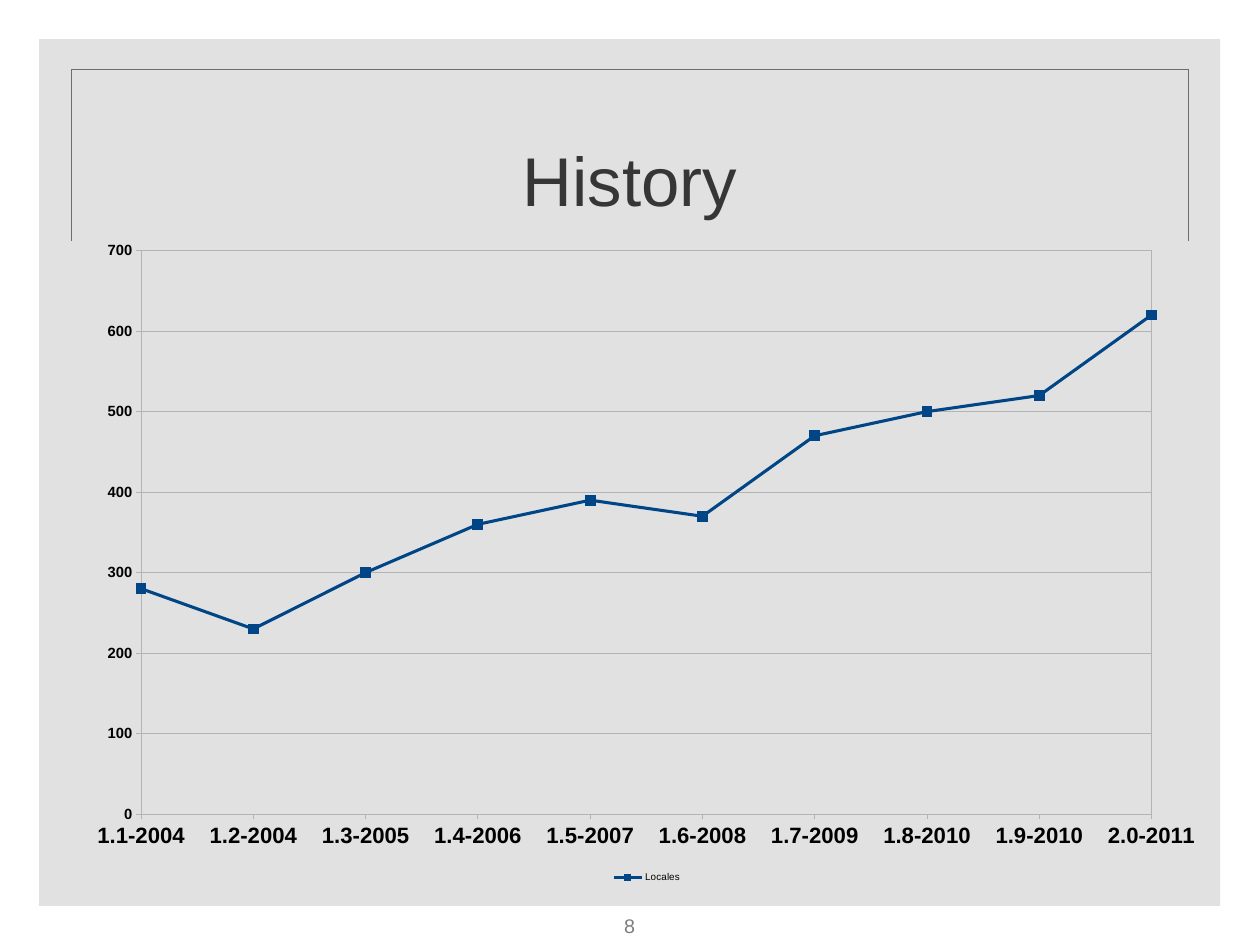
import pptx
import pptx.chart.data
import pptx.dml.color
import pptx.enum.chart
import pptx.enum.shapes
import pptx.enum.text
import pptx.oxml
import pptx.oxml.ns
import pptx.util
from lxml import etree
from pptx.util import Cm

qn = pptx.oxml.ns.qn
NAMESPACES = pptx.oxml.ns.nsdecls("a", "c")
GRID = "B3B3B3"
BLUE = "004586"


def rgb(code):
    return pptx.dml.color.RGBColor.from_string(code)


def style_font(font, size, code, bold=False):
    font.name = "Arial"
    font.size = pptx.util.Pt(size)
    font.bold = bold
    font.color.rgb = rgb(code)


deck = pptx.Presentation()
deck.slide_width = Cm(36.12)
deck.slide_height = Cm(27.08)
page = deck.slides.add_slide(deck.slide_layouts[5])

backdrop = page.shapes.add_shape(
    pptx.enum.shapes.MSO_SHAPE.RECTANGLE, Cm(1.12), Cm(1.12), Cm(33.86), Cm(24.84)
)
backdrop.shadow.inherit = False
backdrop.fill.solid()
backdrop.fill.fore_color.rgb = rgb("B5B5B7")
backdrop.line.fill.background()
fill_color = backdrop.element.spPr.find(qn("a:solidFill"))[0]
etree.SubElement(fill_color, qn("a:alpha"), val="40000")

left, right, top, bottom = 2.05, 34.08, 2, 6.9
for x1, y1, x2, y2 in [
    (left, bottom, left, top),
    (right, bottom, right, top),
    (right, top, left, top),
]:
    edge = page.shapes.add_connector(
        pptx.enum.shapes.MSO_CONNECTOR.STRAIGHT, Cm(x1), Cm(y1), Cm(x2), Cm(y2)
    )
    edge.line.color.rgb = rgb("6D6D6D")
    edge.line.width = pptx.util.Pt(1)
    etree.SubElement(edge.element.spPr, qn("a:effectLst"))

title = page.shapes.title
title.left, title.top, title.width, title.height = Cm(2.9), Cm(0.58), Cm(30.33), Cm(9.3)
title.element.getparent().append(title.element)
frame = title.text_frame
frame.vertical_anchor = pptx.enum.text.MSO_ANCHOR.MIDDLE
frame.margin_left = frame.margin_right = Cm(0.15)
frame.margin_top = frame.margin_bottom = Cm(0.15)
para = frame.paragraphs[0]
para.alignment = pptx.enum.text.PP_ALIGN.CENTER
para.line_spacing = 0.95
span = para.add_run()
span.text = "History"
style_font(span.font, 56, "363636")

locales = {
    "1.1-2004": 280,
    "1.2-2004": 230,
    "1.3-2005": 300,
    "1.4-2006": 360,
    "1.5-2007": 390,
    "1.6-2008": 370,
    "1.7-2009": 470,
    "1.8-2010": 500,
    "1.9-2010": 520,
    "2.0-2011": 620,
}
data = pptx.chart.data.CategoryChartData()
data.categories = list(locales)
data.add_series("Locales", list(locales.values()))
chart = page.shapes.add_chart(
    pptx.enum.chart.XL_CHART_TYPE.LINE_MARKERS, Cm(2.16), Cm(6.6), Cm(32.77), Cm(18.8), data
).chart
style_font(chart.font, 10, "000000")
chart.has_title = False
chart.has_legend = True
chart.legend.position = pptx.enum.chart.XL_LEGEND_POSITION.BOTTOM
chart.legend.include_in_layout = False
style_font(chart.legend.font, 8, "000000")

chart.plots[0].vary_by_categories = False
series = chart.plots[0].series[0]
series.smooth = False
series.format.line.color.rgb = rgb(BLUE)
series.format.line.width = pptx.util.Pt(2.5)
series.marker.style = pptx.enum.chart.XL_MARKER_STYLE.SQUARE
series.marker.size = 8
series.marker.format.fill.solid()
series.marker.format.fill.fore_color.rgb = rgb(BLUE)
series.marker.format.line.color.rgb = rgb(BLUE)

value_axis = chart.value_axis
value_axis.minimum_scale = 0
value_axis.maximum_scale = 700
value_axis.major_unit = 100
value_axis.has_major_gridlines = True
grid_line = value_axis.major_gridlines.format.line
for axis, size in [(chart.category_axis, 18), (value_axis, 12)]:
    style_font(axis.tick_labels.font, size, "000000", True)
    axis.major_tick_mark = pptx.enum.chart.XL_TICK_MARK.OUTSIDE
for line in [grid_line, chart.category_axis.format.line, value_axis.format.line]:
    line.color.rgb = rgb(GRID)
    line.width = pptx.util.Pt(0)

plot_area = chart.element.find(".//" + qn("c:plotArea"))
value_element = plot_area.find(qn("c:valAx"))
for element in value_element.findall(qn("c:crossBetween")):
    value_element.remove(element)
value_element.find(qn("c:crosses")).addnext(
    pptx.oxml.parse_xml(f'<c:crossBetween {NAMESPACES} val="midCat"/>')
)
for element in plot_area.findall(qn("c:layout")):
    plot_area.remove(element)
plot_area.insert(0, pptx.oxml.parse_xml(
    f'<c:layout {NAMESPACES}><c:manualLayout><c:layoutTarget val="inner"/>'
    '<c:xMode val="edge"/><c:yMode val="edge"/><c:x val="0.0575"/><c:y val="0.031"/>'
    '<c:w val="0.884"/><c:h val="0.859"/></c:manualLayout></c:layout>'
))
plot_area.append(pptx.oxml.parse_xml(
    f'<c:spPr {NAMESPACES}><a:noFill/><a:ln w="0"><a:solidFill>'
    f'<a:srgbClr val="{GRID}"/></a:solidFill></a:ln></c:spPr>'
))

number_box = page.shapes.add_textbox(Cm(17.58), Cm(26.06), Cm(0.94), Cm(0.94))
number_box.text_frame.word_wrap = True
para = number_box.text_frame.paragraphs[0]
para.alignment = pptx.enum.text.PP_ALIGN.CENTER
span = para.add_run()
span.text = "8"
style_font(span.font, 16, "7E7E7E")

deck.save("out.pptx")
